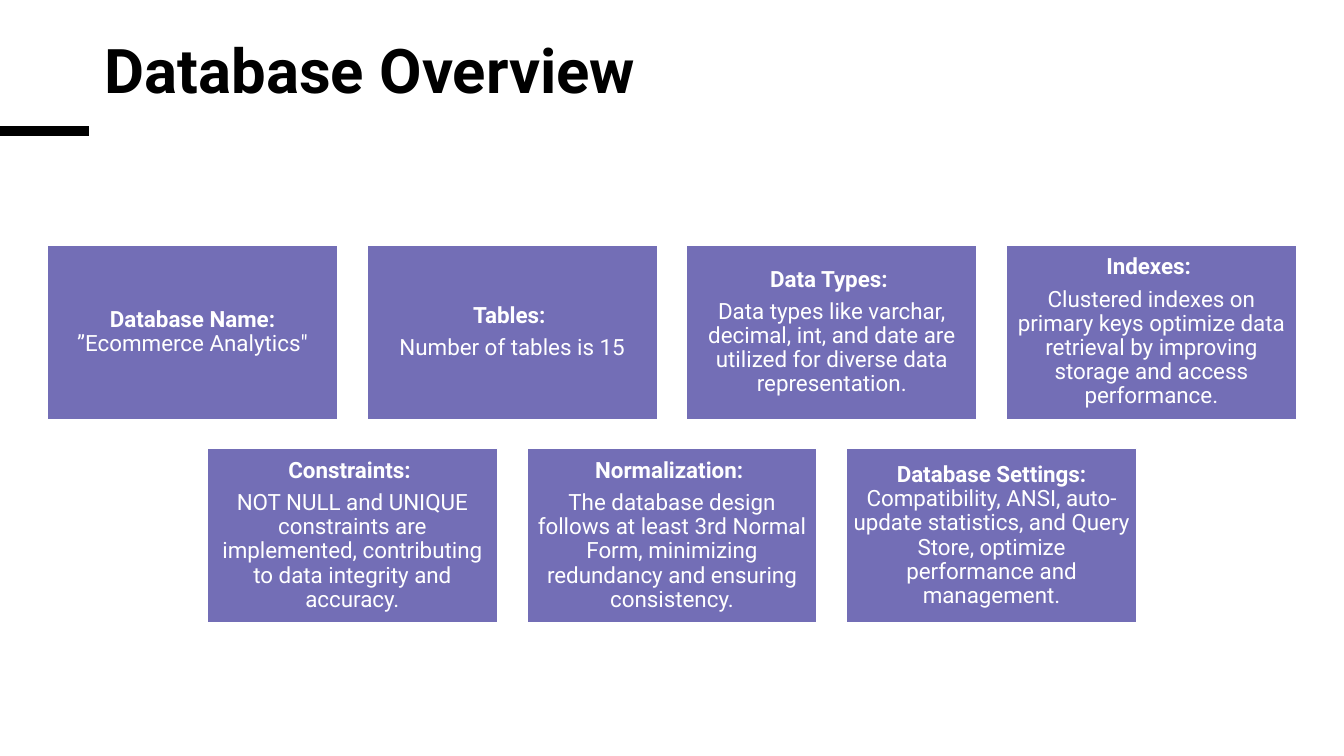
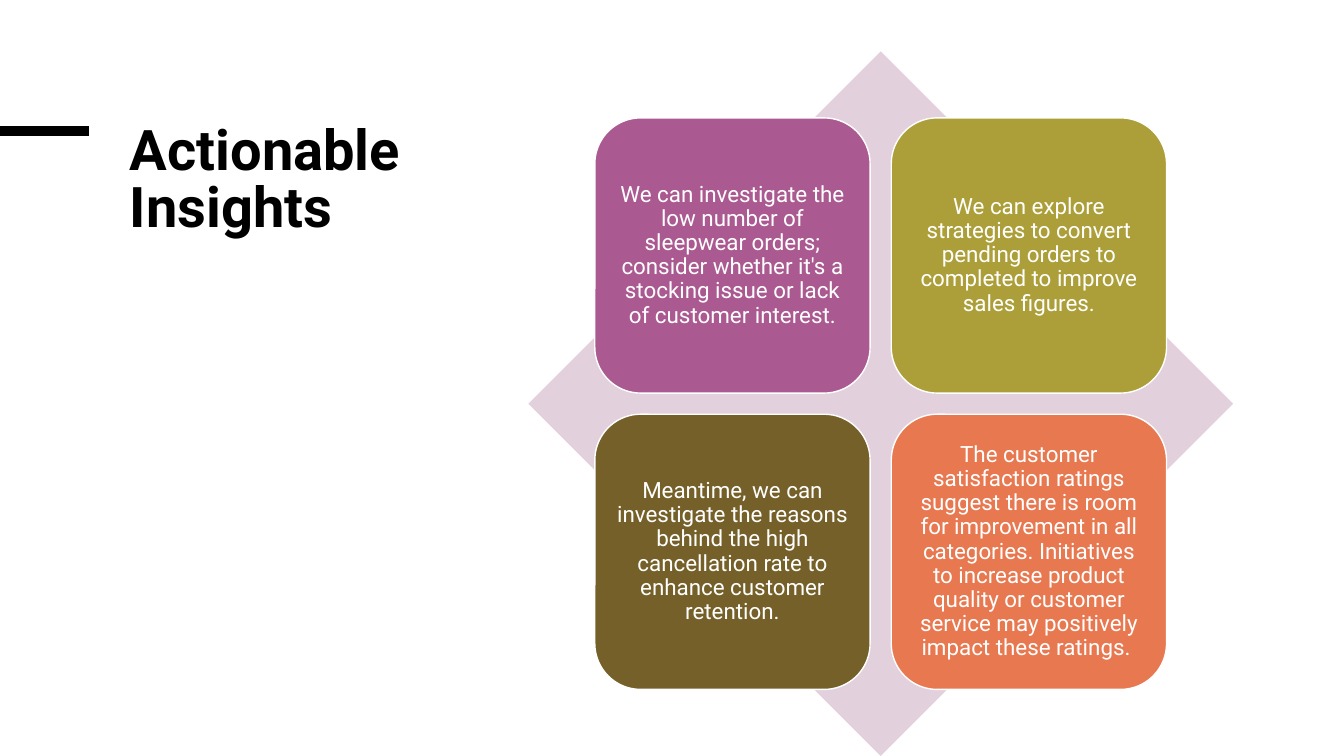
from lxml import etree
from pptx import Presentation
from pptx import util as u
from pptx.dml.color import RGBColor
from pptx.enum import shapes, text
from pptx.oxml.ns import qn

COLORS = {
    "ink": "000000",
    "white": "FFFFFF",
    "violet": "736EB6",
    "diamond": "E2D1DC",
    "plum": "AB5991",
    "olive": "AC9F39",
    "brown": "756029",
    "orange": "E87850",
}
FONT = "Roboto"
PAGE_WIDTH, PAGE_HEIGHT = 13.33, 7.5

# Each card is a list of paragraphs; each paragraph is a list of (text, bold).
CARD_ROWS = [
    [
        [[("Database Name:", True), (" ”Ecommerce Analytics\"", False)]],
        [[("Tables: ", True)], [("Number of tables is 15", False)]],
        [[("Data Types: ", True)],
         [("Data types like varchar, decimal, int, and date are utilized for "
           "diverse data representation.", False)]],
        [[("Indexes: ", True)],
         [("Clustered indexes on primary keys optimize data retrieval by "
           "improving storage and access performance.", False)]],
    ],
    [
        [[("Constraints: ", True)],
         [("NOT NULL and UNIQUE constraints are implemented, contributing to "
           "data integrity and accuracy.", False)]],
        [[("Normalization: ", True)],
         [("The database design follows at least 3rd Normal Form, minimizing "
           "redundancy and ensuring consistency.", False)]],
        [[("Database Settings: ", True),
          ("Compatibility, ANSI, auto-update statistics, and Query Store, "
           "optimize performance and management.", False)]],
    ],
]

INSIGHTS = [
    ("plum", "We can investigate the low number of sleepwear orders; consider "
             "whether it's a stocking issue or lack of customer interest."),
    ("olive", "We can explore strategies to convert pending orders to completed "
              "to improve sales figures."),
    ("brown", "Meantime, we can investigate the reasons behind the high "
              "cancellation rate to enhance customer retention."),
    ("orange", "The customer satisfaction ratings suggest there is room for "
               "improvement in all categories. Initiatives to increase product "
               "quality or customer service may positively impact these ratings. "),
]


def rgb(name):
    return RGBColor.from_string(COLORS[name])


def write_text(box, paragraphs, size=16, color="white", align="CENTER",
               anchor="MIDDLE", spacing=0.9, after=5.6, inset=(0.06, 0.07)):
    """Fill a box with paragraphs, each a list of (text, bold) spans."""
    frame = box.text_frame
    frame.word_wrap = True
    frame.vertical_anchor = getattr(text.MSO_ANCHOR, anchor)
    frame.margin_left = frame.margin_right = u.Inches(inset[0])
    frame.margin_top = frame.margin_bottom = u.Inches(inset[1])
    for index, spans in enumerate(paragraphs):
        para = frame.add_paragraph() if index else frame.paragraphs[0]
        para.alignment = getattr(text.PP_ALIGN, align)
        para.line_spacing = spacing
        para.space_after = u.Pt(after)
        for words, bold in spans:
            span = para.add_run()
            span.text = words
            span.font.name = FONT
            span.font.size = u.Pt(size)
            span.font.bold = bold
            span.font.color.rgb = rgb(color)


def add_panel(page, kind, left, top, width, height, fill, outline=None):
    panel = page.shapes.add_shape(
        kind, *(u.Inches(value) for value in (left, top, width, height)))
    panel.shadow.inherit = False
    panel.fill.solid()
    panel.fill.fore_color.rgb = rgb(fill)
    if outline:
        panel.line.color.rgb = rgb(outline)
        panel.line.width = u.Pt(1)
    else:
        panel.line.fill.background()
    return panel


def add_accent_bar(page):
    bar = page.shapes.add_connector(
        shapes.MSO_CONNECTOR.STRAIGHT,
        u.Inches(0), u.Inches(1.3), u.Inches(0.88), u.Inches(1.3))
    bar.line.color.rgb = rgb("ink")
    bar.line.width = u.Pt(6.75)
    etree.SubElement(bar._element.spPr, qn("a:effectLst"))


def add_page(deck, title, left, top, width, height, size):
    """Add a blank page with the shared accent bar and title style."""
    page = deck.slides.add_slide(deck.slide_layouts[6])
    add_accent_bar(page)
    box = page.shapes.add_textbox(
        *(u.Inches(value) for value in (left, top, width, height)))
    write_text(box, [[(title, True)]], size=size, color="ink", align="LEFT",
               anchor="TOP", spacing=0.85, after=0, inset=(0.1, 0.05))
    return page


def add_card_rows(page, rows, top=2.43, width=2.88, height=1.73, gap=0.29):
    """Lay out rows of equal cards, each row centred on the page."""
    for row_index, cards in enumerate(rows):
        row_width = len(cards) * (width + gap) - gap
        row_left = (PAGE_WIDTH - row_width) / 2
        row_top = top + row_index * (height + gap)
        for column, paragraphs in enumerate(cards):
            card = add_panel(page, shapes.MSO_SHAPE.RECTANGLE,
                             row_left + column * (width + gap), row_top,
                             width, height, "violet", "white")
            write_text(card, paragraphs)


def add_insight_matrix(page, insights, left=5.24, top=0.51, side=6.99,
                       tile=2.73, gap=0.21):
    """Place a two by two grid of tiles, centred on a diamond."""
    add_panel(page, shapes.MSO_SHAPE.DIAMOND, left, top, side, side, "diamond")
    margin = (side - 2 * tile - gap) / 2
    for index, (fill, words) in enumerate(insights):
        row, column = divmod(index, 2)
        box = add_panel(page, shapes.MSO_SHAPE.ROUNDED_RECTANGLE,
                        left + margin + column * (tile + gap),
                        top + margin + row * (tile + gap),
                        tile, tile, fill, "white")
        write_text(box, [[(words, False)]])


def main():
    deck = Presentation()
    deck.slide_width = u.Inches(PAGE_WIDTH)
    deck.slide_height = u.Inches(PAGE_HEIGHT)

    overview = add_page(deck, "Database Overview", 0.94, 0.38, 10.85, 0.77, 44)
    add_card_rows(overview, CARD_ROWS)

    actions = add_page(deck, "Actionable Insights", 1.19, 1.19, 4.12, 2.56, 40)
    add_insight_matrix(actions, INSIGHTS)

    deck.save("out.pptx")


if __name__ == "__main__":
    main()
